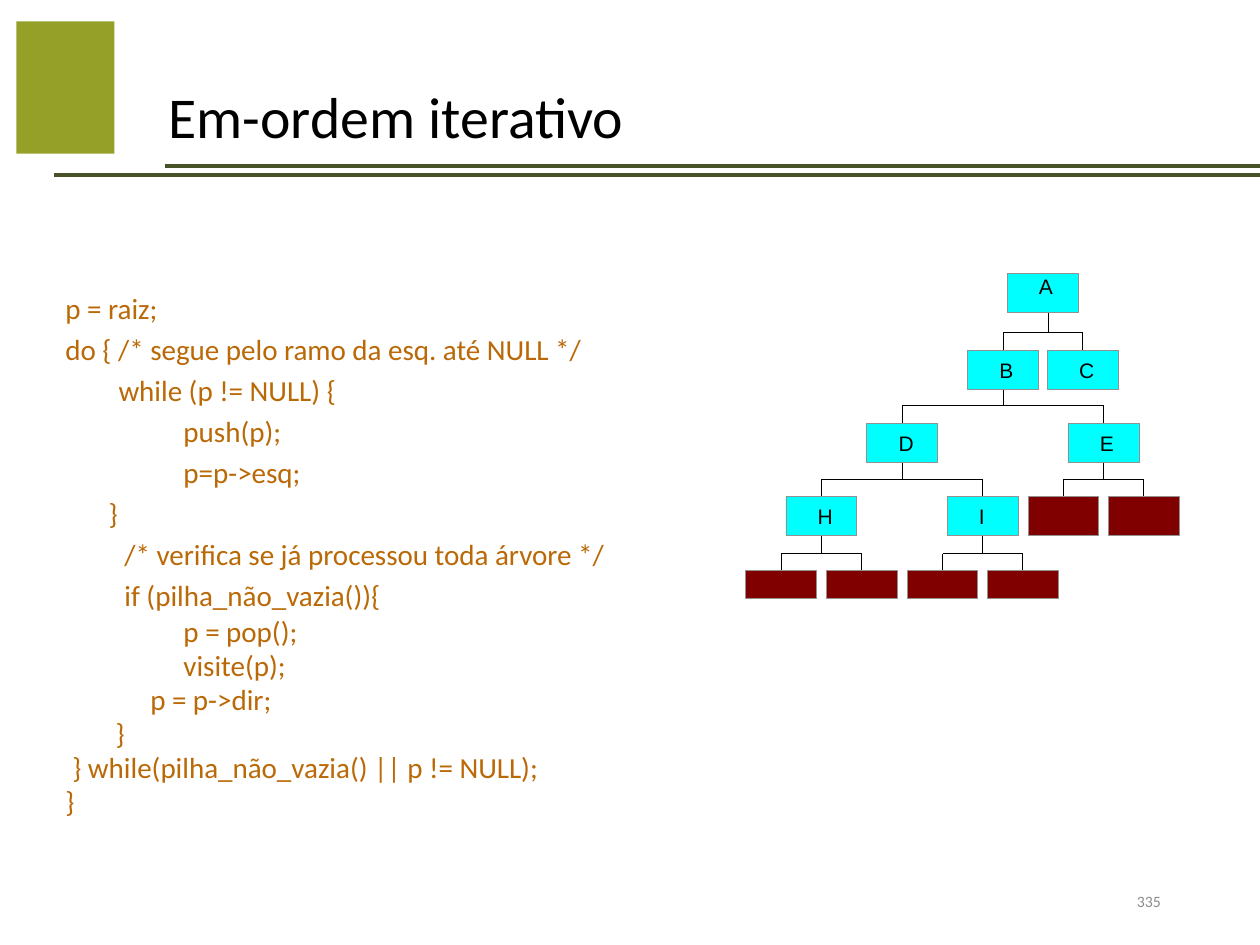
"""Build a slide with iterative in-order traversal code and its binary tree."""
import dataclasses
import typing

import lxml.etree
import pptx
import pptx.dml.color
import pptx.enum.shapes
import pptx.enum.text
import pptx.oxml.ns
import pptx.util

Cm = pptx.util.Cm
Anchor = pptx.enum.text.MSO_ANCHOR
Align = pptx.enum.text.PP_ALIGN
Shapes = pptx.enum.shapes.MSO_SHAPE


@dataclasses.dataclass(frozen=True)
class Theme:
    green: str = "94A027"
    rule: str = "485228"
    code: str = "BA6906"
    black: str = "000000"
    number: str = "8C8C8C"
    node: str = "00FFFF"
    empty: str = "800000"
    outline: str = "919191"
    font: str = "Calibri"
    label_font: str = "Arial"
    title_size: float = 33
    code_size: float = 16.6
    label_size: float = 12
    number_size: float = 9
    rule_width: float = 2.5
    thin_width: float = 0.5


@dataclasses.dataclass(frozen=True)
class Node:
    center: float
    label: str = ""
    children: tuple["Node", ...] = ()
    stem_shift: float = 0
    anchor: Anchor = Anchor.MIDDLE


class CodeLine(typing.NamedTuple):
    text: str
    indent: float = 0
    spacing: float = 0.8


THEME = Theme()
NODE_WIDTH = 1.43
NODE_HEIGHT = 0.79
LEAF_HEIGHT = 0.56
BRANCH_DROP = 0.35
LABEL_INSET = 0.64
LEVEL_TOPS = (5.51, 7.06, 8.53, 10.01, 11.51)

TREE = Node(21.02, "A", (
    Node(20.22, "B", (
        Node(18.19, "D", (
            Node(16.56, "H", (Node(15.75), Node(17.37))),
            Node(19.81, "I", (Node(19.0), Node(20.62))),
        )),
        Node(22.25, "E", (Node(21.44), Node(23.06))),
    )),
    Node(21.83, "C"),
), stem_shift=0.11, anchor=Anchor.TOP)

CODE = (
    CodeLine("p = raiz;"),
    CodeLine("do { /* segue pelo ramo da esq. até NULL */"),
    CodeLine("while (p != NULL) {", 1.07),
    CodeLine("push(p);", 2.38),
    CodeLine("p=p->esq;", 2.38),
    CodeLine("}", 0.87),
    CodeLine("/* verifica se já processou toda árvore */", 1.19),
    CodeLine("if (pilha_não_vazia()){", 1.19),
    CodeLine("p = pop();", 2.38, 0.6),
    CodeLine("visite(p);", 2.38, 0.6),
    CodeLine("p = p->dir;", 1.71, 0.6),
    CodeLine("}", 1.01, 0.6),
    CodeLine("} while(pilha_não_vazia() || p != NULL);", 0.14, 0.6),
    CodeLine("}", 0, 0.6),
)


def rgb(color: str) -> pptx.dml.color.RGBColor:
    """Return the colour for a hexadecimal string."""
    return pptx.dml.color.RGBColor.from_string(color)


def style_font(para, name: str, size: float, color: str) -> None:
    """Set the font of a whole paragraph."""
    para.font.name = name
    para.font.size = pptx.util.Pt(size)
    para.font.color.rgb = rgb(color)


def add_text(slide, left: float, top: float, width: float, height: float,
             anchor: Anchor = Anchor.TOP):
    """Add a wrapping text box and return its text frame."""
    box = slide.shapes.add_textbox(Cm(left), Cm(top), Cm(width), Cm(height))
    frame = box.text_frame
    frame.word_wrap = True
    frame.vertical_anchor = anchor
    return frame


def add_line(slide, start: tuple[float, float], end: tuple[float, float],
             color: str, width: float) -> None:
    """Draw a straight line without a shadow."""
    line = slide.shapes.add_connector(
        pptx.enum.shapes.MSO_CONNECTOR.STRAIGHT,
        Cm(start[0]), Cm(start[1]), Cm(end[0]), Cm(end[1]))
    line.line.color.rgb = rgb(color)
    line.line.width = pptx.util.Pt(width)
    properties = line.element.find(pptx.oxml.ns.qn("p:spPr"))
    lxml.etree.SubElement(properties, pptx.oxml.ns.qn("a:effectLst"))


def add_rectangle(slide, left: float, top: float, width: float, height: float,
                  fill: str):
    """Add a filled rectangle with no outline."""
    box = slide.shapes.add_shape(
        Shapes.RECTANGLE, Cm(left), Cm(top), Cm(width), Cm(height))
    box.shadow.inherit = False
    box.fill.solid()
    box.fill.fore_color.rgb = rgb(fill)
    box.line.fill.background()
    return box


def draw_header(slide) -> None:
    """Draw the emblem block, the double rule and the title."""
    add_rectangle(slide, 0.33, 0.43, 1.98, 2.67, THEME.green)
    for left, top in ((3.33, 3.35), (1.09, 3.53)):
        add_line(slide, (left, top), (25.4, top), THEME.rule, THEME.rule_width)
    para = add_text(slide, 3.15, 0.84, 21.64, 3.17, Anchor.MIDDLE).paragraphs[0]
    para.text = "Em-ordem iterativo"
    para.line_spacing = 0.9
    style_font(para, THEME.font, THEME.title_size, THEME.black)


def draw_code(slide) -> None:
    """Write the code with one indented paragraph per line."""
    frame = add_text(slide, 1.07, 5.87, 23.75, 11.18)
    for index, line in enumerate(CODE):
        para = frame.add_paragraph() if index else frame.paragraphs[0]
        para.text = line.text
        para.line_spacing = line.spacing
        para.space_before = pptx.util.Pt(7.5)
        style_font(para, THEME.font, THEME.code_size, THEME.code)
        para._p.get_or_add_pPr().set("marL", str(Cm(line.indent)))


def draw_branches(slide, node: Node, level: int) -> None:
    """Connect a node to its children with a stem, a bar and drops."""
    child_top = LEVEL_TOPS[level + 1]
    bar = child_top - BRANCH_DROP
    stem = node.center + node.stem_shift
    segments = [((stem, LEVEL_TOPS[level] + NODE_HEIGHT), (stem, bar))]
    for child in node.children:
        segments.append(((child.center, bar), (child.center, child_top)))
        segments.append(((child.center, bar), (stem, bar)))
    for start, end in segments:
        add_line(slide, start, end, THEME.black, THEME.thin_width)


def draw_node(slide, node: Node, level: int = 0) -> None:
    """Draw a node and, below it, its subtree."""
    if node.children:
        draw_branches(slide, node, level)
    height = LEAF_HEIGHT if level == len(LEVEL_TOPS) - 1 else NODE_HEIGHT
    box = add_rectangle(slide, node.center - NODE_WIDTH / 2, LEVEL_TOPS[level],
                        NODE_WIDTH, height, THEME.node if node.label else THEME.empty)
    box.line.color.rgb = rgb(THEME.outline)
    box.line.width = pptx.util.Pt(THEME.thin_width)
    if node.label:
        frame = box.text_frame
        frame.margin_left = Cm(LABEL_INSET)
        frame.margin_top = frame.margin_right = frame.margin_bottom = 0
        frame.vertical_anchor = node.anchor
        para = frame.paragraphs[0]
        para.text = node.label
        para.alignment = Align.LEFT
        style_font(para, THEME.label_font, THEME.label_size, THEME.black)
    for child in node.children:
        draw_node(slide, child, level + 1)


def main() -> None:
    """Build and save the deck."""
    deck = pptx.Presentation()
    deck.slide_width, deck.slide_height = Cm(25.4), Cm(19.05)
    slide = deck.slides.add_slide(deck.slide_layouts[6])
    draw_header(slide)
    draw_code(slide)
    number = add_text(slide, 17.93, 17.65, 5.72, 1.02, Anchor.MIDDLE).paragraphs[0]
    number.text = "335"
    number.alignment = Align.RIGHT
    style_font(number, THEME.font, THEME.number_size, THEME.number)
    draw_node(slide, TREE)
    deck.save("out.pptx")


if __name__ == "__main__":
    main()
